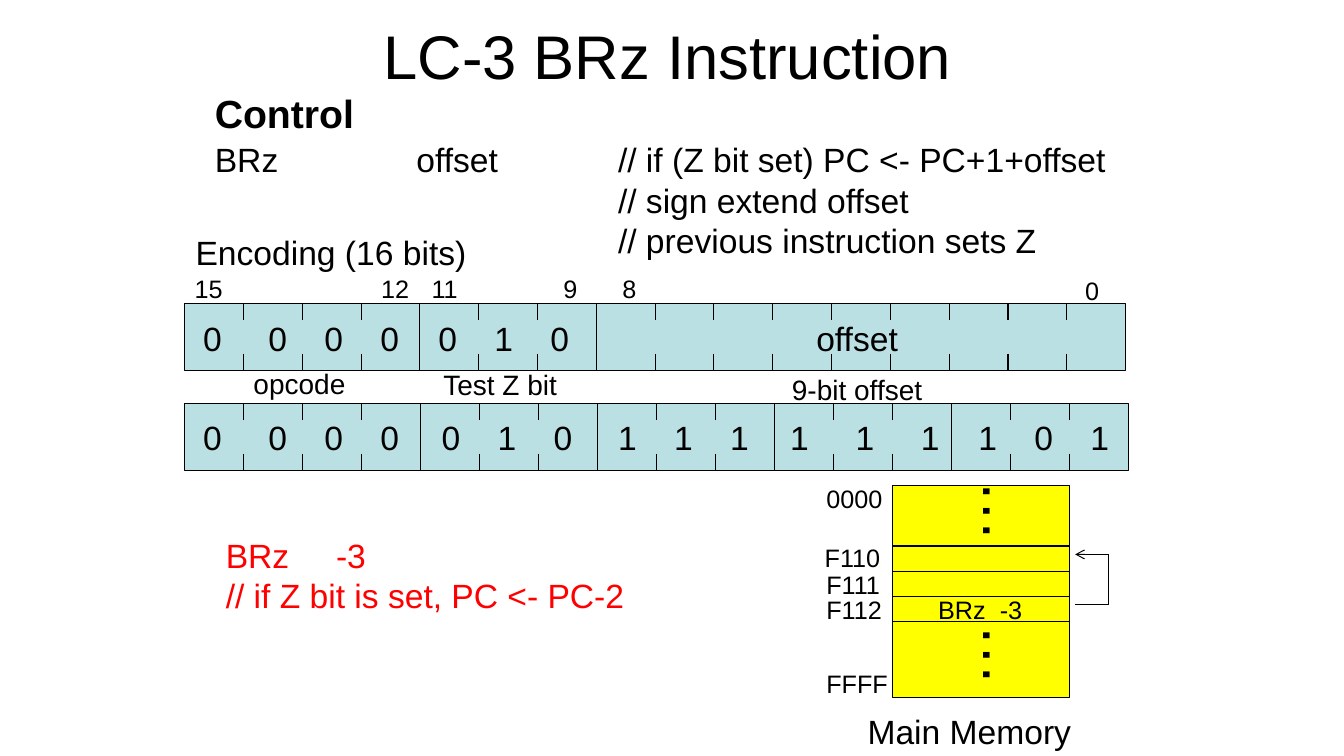
from itertools import accumulate

from lxml.etree import SubElement
from pptx import Presentation
from pptx.dml.color import RGBColor
from pptx.enum.shapes import MSO_CONNECTOR, MSO_SHAPE
from pptx.enum.text import MSO_ANCHOR, MSO_AUTO_SIZE, PP_ALIGN
from pptx.oxml.ns import qn
from pptx.util import Inches, Pt

BLACK = RGBColor(0x00, 0x00, 0x00)
RED = RGBColor(0xFF, 0x00, 0x00)
PALE_TEAL = RGBColor(0xBB, 0xE0, 0xE3)
YELLOW = RGBColor(0xFF, 0xFF, 0x00)

FONT = "Arial"
COLUMNS, ROWS = 160, 90  # the slide's grid, twelve units to the inch
REGISTER_LEFT, REGISTER_HEIGHT, TICK = 22, 4 * 2, 2
BITS = 16
NARROW, WIDE = 6.67, 7.78  # distances between neighbouring digits


def units(count):
    return Inches(count / 12)


def add_text(slide, left, top, width, text, size=24, color=BLACK, tabs=()):
    """Add a text box as tall as its lines; tabs are stops in grid units."""
    lines = text.split("\n")
    height = len(lines) * size * 0.2 + 1.2
    box = slide.shapes.add_textbox(units(left), units(top), units(width), units(height))
    frame = box.text_frame
    frame.word_wrap = bool(tabs)
    frame.auto_size = MSO_AUTO_SIZE.SHAPE_TO_FIT_TEXT
    frame.text = text
    for paragraph in frame.paragraphs:
        if tabs:
            stops = SubElement(paragraph._p.get_or_add_pPr(), qn("a:tabLst"))
            for stop in tabs:
                SubElement(stops, qn("a:tab"), pos=str(units(stop)), algn="l")
        for run in paragraph.runs:
            run.font.name = FONT
            run.font.size = Pt(size)
            run.font.color.rgb = color
    return box


def add_block(slide, left, top, width, height, fill):
    block = slide.shapes.add_shape(
        MSO_SHAPE.RECTANGLE, units(left), units(top), units(width), units(height))
    block.shadow.inherit = False
    block.fill.solid()
    block.fill.fore_color.rgb = fill
    block.line.color.rgb = BLACK
    block.line.width = Pt(0.75)


def add_line(slide, x1, y1, x2, y2, arrow=False):
    line = slide.shapes.add_connector(
        MSO_CONNECTOR.STRAIGHT, units(x1), units(y1), units(x2), units(y2))
    line.line.color.rgb = BLACK
    line.line.width = Pt(0.75)
    if arrow:
        SubElement(line.line._get_or_add_ln(), qn("a:tailEnd"), type="arrow")
    SubElement(line._element.spPr, qn("a:effectLst"))


def add_register(slide, top, width, field_ends):
    """Draw a 16-bit word: full lines between fields, ticks between bits."""
    add_block(slide, REGISTER_LEFT, top, width, REGISTER_HEIGHT, PALE_TEAL)
    bottom = top + REGISTER_HEIGHT
    for bit in range(1, BITS):
        x = REGISTER_LEFT + width * bit / BITS
        if bit in field_ends:
            add_line(slide, x, top, x, bottom)
        else:
            add_line(slide, x, top, x, top + TICK)
            add_line(slide, x, bottom - TICK, x, bottom)


def add_bits(slide, left, top, digits, gaps):
    add_text(slide, left, top, sum(gaps) + 6, "\t".join(digits),
             tabs=list(accumulate(gaps)))


def add_heading(slide):
    title = add_text(slide, 22, -1, 115, "LC-3 BRz Instruction", 44)
    title.text_frame.auto_size = MSO_AUTO_SIZE.NONE
    title.text_frame.word_wrap = True
    title.text_frame.vertical_anchor = MSO_ANCHOR.MIDDLE
    title.text_frame.paragraphs[0].alignment = PP_ALIGN.CENTER
    title.left, title.width, title.height = units(22), units(115), units(15)

    control = add_text(slide, 24.4, 10, 19.2, "Control", 28)
    control.text_frame.paragraphs[0].runs[0].font.bold = True
    add_text(slide, 24.4, 16, 108.7,
             "BRz\toffset\t// if (Z bit set) PC <- PC+1+offset\n"
             "\t\t// sign extend offset\n"
             "\t\t// previous instruction sets Z", tabs=(24, 48))


def add_encoding(slide):
    add_text(slide, 22.1, 27, 34.9, "Encoding (16 bits)")
    for left, top, width, bit in (
            (22, 32, 5.8, "15"), (44.2, 32, 5.8, "12"), (50.2, 32, 5.5, "11"),
            (65.9, 32, 4.1, "9"), (72.9, 32, 4.1, "8"), (128, 32.2, 4.1, "0")):
        add_text(slide, left, top, width, bit, 18)

    opcode_gaps = (WIDE, NARROW, NARROW)
    add_register(slide, 36.1, 112, (4, 7))
    add_bits(slide, 23, 37.2, "0000", opcode_gaps)
    add_bits(slide, 51, 37.2, "010", (NARROW, NARROW))
    add_text(slide, 96, 37.2, 12.4, "offset")

    add_text(slide, 29, 43, 13.4, "opcode", 20)
    add_text(slide, 51.6, 43.2, 16.1, "Test Z bit", 20)
    add_text(slide, 93.1, 43.8, 18, "9-bit offset", 20)

    add_register(slide, 48, 112.3, (4, 7, 10, 13))
    add_bits(slide, 23, 49, "0000", opcode_gaps)
    for left, digits, gap in ((51.4, "010", NARROW), (72.4, "111", NARROW),
                              (92.9, "111", WIDE), (115.3, "101", NARROW)):
        add_bits(slide, left, 49, digits, (gap, gap))


def add_memory(slide):
    left, right, top, bottom = 106.3, 127.3, 57.8, 83
    add_block(slide, left, top, right - left, bottom - top, YELLOW)
    for y in range(65, 75, 3):
        add_line(slide, left, y, right, y)
    for y in (55.9, 73.1):
        add_text(slide, 115.1, y, 9.8, "…", 44).rotation = 90

    for x, y, width, address in (
            (97.2, 57, 9.1, "0000"), (97, 64, 9.1, "F110"), (97.2, 67.2, 8.9, "F111"),
            (97.2, 70.2, 9.1, "F112"), (97.2, 79, 9.8, "FFFF")):
        add_text(slide, x, y, width, address, 18)
    add_text(slide, 110.5, 70.2, 12.6, "BRz\t-3", 18, tabs=(7.34,))
    add_text(slide, 102.1, 84, 26.9, "Main Memory")

    jump_x, from_y, to_y = 132, 72, 66
    add_line(slide, 128, from_y, jump_x, from_y)
    add_line(slide, jump_x, to_y, jump_x, from_y)
    add_line(slide, jump_x, to_y, 128, to_y, arrow=True)


def main():
    deck = Presentation()
    deck.slide_width, deck.slide_height = units(COLUMNS), units(ROWS)
    slide = deck.slides.add_slide(deck.slide_layouts[6])
    add_heading(slide)
    add_encoding(slide)
    add_text(slide, 25.7, 63.1, 61.3, "BRz\t-3\n// if Z bit is set, PC <- PC-2",
             color=RED, tabs=(13.12,))
    add_memory(slide)
    deck.save("out.pptx")


if __name__ == "__main__":
    main()
